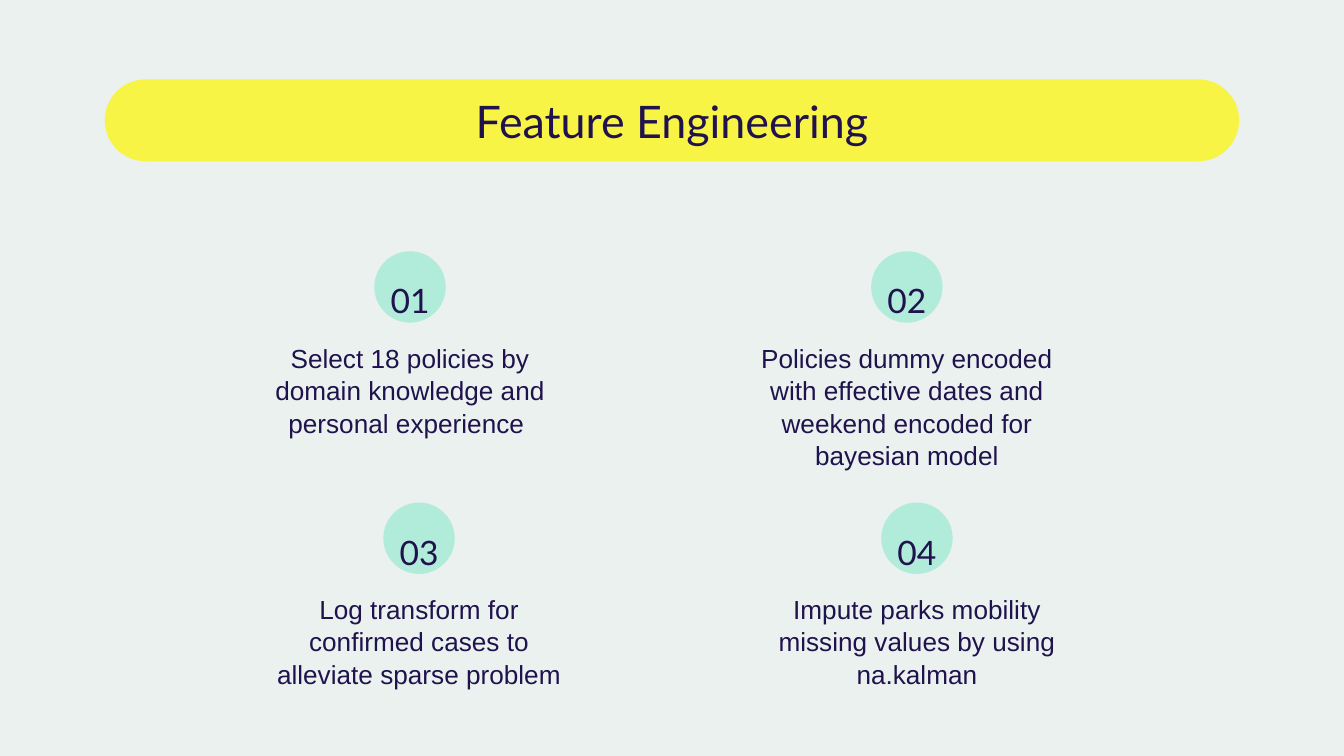
"""Build the Feature Engineering slide with four numbered steps."""
import pptx
import pptx.dml.color
import pptx.enum.shapes
import pptx.enum.text
import pptx.util

Cm = pptx.util.Cm
RGBColor = pptx.dml.color.RGBColor
Shape = pptx.enum.shapes.MSO_SHAPE
Anchor = pptx.enum.text.MSO_ANCHOR

PALE = RGBColor(0xEA, 0xF1, 0xEE)
YELLOW = RGBColor(0xF8, 0xF4, 0x46)
MINT = RGBColor(0xB1, 0xEB, 0xDA)
NAVY = RGBColor(0x20, 0x12, 0x4D)

deck = pptx.Presentation()
deck.slide_width, deck.slide_height = Cm(25.4), Cm(14.29)
slide = deck.slides.add_slide(deck.slide_layouts[6])
slide.background.fill.solid()
slide.background.fill.fore_color.rgb = PALE


def add_fill(kind, left, top, width, height, color):
    shape = slide.shapes.add_shape(kind, Cm(left), Cm(top), Cm(width), Cm(height))
    shape.shadow.inherit = False
    shape.fill.solid()
    shape.fill.fore_color.rgb = color
    shape.line.fill.background()
    return shape


def add_text(text, mid, top, width, height, font, size, inset, anchor=Anchor.TOP):
    box = slide.shapes.add_textbox(Cm(mid - width / 2), Cm(top), Cm(width), Cm(height))
    frame = box.text_frame
    frame.word_wrap = True
    frame.vertical_anchor = anchor
    frame.margin_left = frame.margin_right = Cm(0.25)
    frame.margin_top, frame.margin_bottom = Cm(inset), 0
    frame.text = text
    para = frame.paragraphs[0]
    para.alignment = pptx.enum.text.PP_ALIGN.CENTER
    run = para.runs[0].font
    run.name, run.size = font, pptx.util.Pt(size)
    run.color.rgb = NAVY
    return para


banner = add_fill(Shape.ROUNDED_RECTANGLE, 1.98, 1.5, 21.44, 1.55, YELLOW)
banner.adjustments[0] = 0.5
add_text("Feature Engineering", 12.7, 1.52, 20.2, 1.52, "Lato", 24, 0.25)

steps = [
    ("Select 18 policies by domain knowledge and personal experience ", 7.75, 4.75, 6.58),
    ("Policies dummy encoded with effective dates and weekend encoded "
     "for bayesian model", 17.14, 4.75, 6.32),
    ("Log transform for confirmed cases to alleviate sparse problem ", 7.92, 9.5, 5.97),
    ("Impute parks mobility missing values by using na.kalman", 17.33, 9.5, 5.97),
]
dot = 1.35
for num, (text, mid, top, width) in enumerate(steps, 1):
    add_fill(Shape.OVAL, mid - dot / 2, top, dot, dot, MINT)
    add_text(f"{num:02}", mid, top + 0.17, 2.28, 1.02, "Lato", 18, 0.5, Anchor.MIDDLE)
    body = add_text(text, mid, top + 1.23, width, 2.11, "Arial", 14, 0.46)
    body.line_spacing = 1.04

deck.save("out.pptx")
